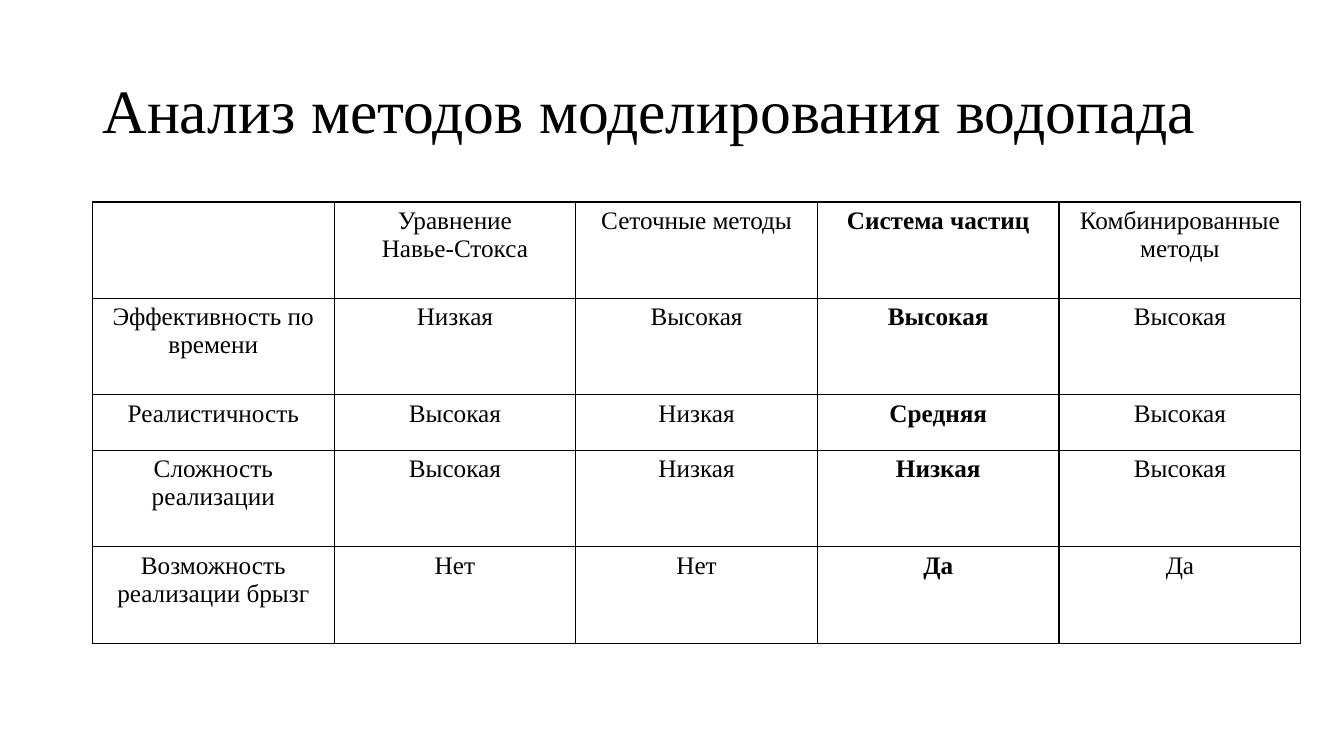
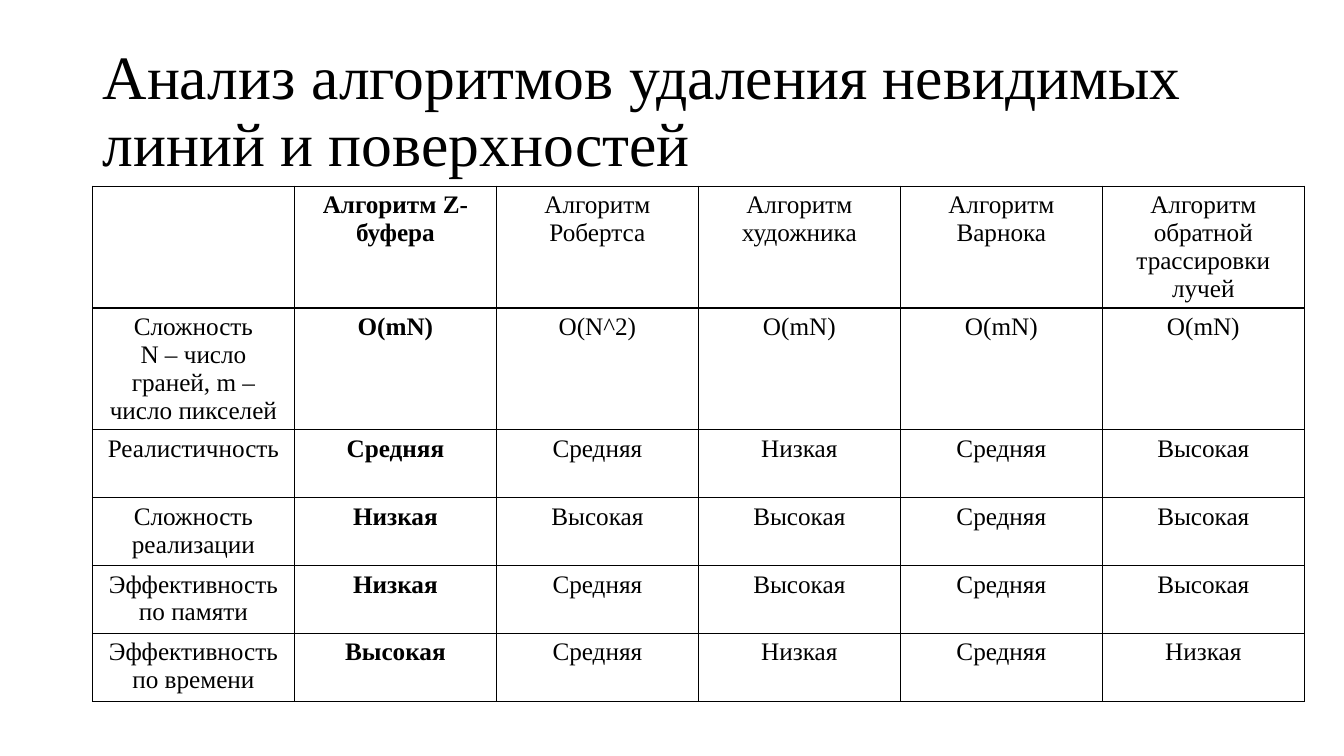
"""Build two slides that compare modelling methods in tables."""
from lxml import etree
from pptx import Presentation
from pptx.dml.color import RGBColor
from pptx.enum.text import MSO_ANCHOR, MSO_AUTO_SIZE, PP_ALIGN
from pptx.oxml.ns import qn
from pptx.util import Cm, Pt

BLACK = RGBColor(0x00, 0x00, 0x00)
WHITE = RGBColor(0xFF, 0xFF, 0xFF)
FONT = "Times New Roman"
LEFT, CENTER = PP_ALIGN.LEFT, PP_ALIGN.CENTER
MIDDLE = MSO_ANCHOR.MIDDLE
NO_FIT = MSO_AUTO_SIZE.NONE
TITLE_ONLY = 5
BORDER_TAGS = ("a:lnL", "a:lnR", "a:lnT", "a:lnB")

METHODS = [
    ["", "Уравнение\nНавье-Стокса", "Сеточные методы", "Система частиц", "Комбинированные методы"],
    ["Эффективность по времени", "Низкая", "Высокая", "Высокая", "Высокая"],
    ["Реалистичность", "Высокая", "Низкая", "Средняя", "Высокая"],
    ["Сложность реализации", "Высокая", "Низкая", "Низкая", "Высокая"],
    ["Возможность реализации брызг", "Нет", "Нет", "Да", "Да"],
]
ALGORITHMS = [
    ["", "Алгоритм Z-буфера", "Алгоритм Робертса", "Алгоритм художника", "Алгоритм Варнока",
     "Алгоритм обратной трассировки лучей"],
    ["Сложность\nN – число граней, m – число пикселей", "O(mN)", "O(N^2)", "O(mN)", "O(mN)", "O(mN)"],
    ["Реалистичность", "Средняя", "Средняя", "Низкая", "Средняя", "Высокая"],
    ["Сложность реализации", "Низкая", "Высокая", "Высокая", "Средняя", "Высокая"],
    ["Эффективность по памяти", "Низкая", "Средняя", "Высокая", "Средняя", "Высокая"],
    ["Эффективность по времени", "Высокая", "Средняя", "Низкая", "Средняя", "Низкая"],
]


def write(tf, text, size=18, bold=False, align=CENTER, spacing=1.0):
    """Fill a text frame, one paragraph per line of text."""
    for i, line in enumerate(text.split("\n")):
        p = tf.add_paragraph() if i else tf.paragraphs[0]
        p.alignment = align
        p.line_spacing = spacing
        p.font.size = Pt(size)
        if line:
            r = p.add_run()
            r.text = line
            r.font.name = FONT
            r.font.size = Pt(size)
            r.font.bold = bold
            r.font.color.rgb = BLACK


class Deck:
    """Hold the shared style and the current slide."""

    left = Cm(2.33)

    def __init__(self):
        """Start a widescreen presentation."""
        self.prs = Presentation()
        self.prs.slide_width = Cm(33.87)
        self.prs.slide_height = Cm(19.05)
        self.s = None

    def slide(self, title):
        """Add a slide with its title."""
        self.s = self.prs.slides.add_slide(self.prs.slide_layouts[TITLE_ONLY])
        sp = self.s.shapes.title
        sp.left, sp.top, sp.width, sp.height = self.left, Cm(1.01), Cm(29.21), Cm(3.68)
        tf = sp.text_frame
        tf.word_wrap = True
        tf.auto_size = NO_FIT
        tf.vertical_anchor = MIDDLE
        write(tf, title, size=44, align=LEFT, spacing=0.9)

    def table(self, rows, top, col_width, heights, bold_col):
        """Add a bordered table with one column in bold."""
        n = len(rows[0])
        frame = self.s.shapes.add_table(len(rows), n, self.left, Cm(top),
                                        Cm(col_width * n), Cm(sum(heights)))
        table = frame.table
        table.first_row = table.horz_banding = False
        for col in table.columns:
            col.width = Cm(col_width)
        for i, (row, height) in enumerate(zip(rows, heights)):
            table.rows[i].height = Cm(height)
            for j, text in enumerate(row):
                cell = table.cell(i, j)
                self.borders(cell)
                cell.fill.solid()
                cell.fill.fore_color.rgb = WHITE
                write(cell.text_frame, text, bold=j == bold_col)

    def borders(self, cell):
        """Draw a thin line on each side of a cell."""
        props = cell._tc.get_or_add_tcPr()
        for tag in BORDER_TAGS:
            ln = etree.SubElement(props, qn(tag), w=str(Pt(1)))
            fill = etree.SubElement(ln, qn("a:solidFill"))
            etree.SubElement(fill, qn("a:srgbClr"), val=str(BLACK))


def main():
    """Build and save the presentation."""
    deck = Deck()
    deck.slide("Анализ методов моделирования водопада")
    deck.table(METHODS, top=5.09, col_width=6.09,
               heights=[2.43, 2.43, 1.4, 2.43, 2.43], bold_col=3)
    deck.slide("Анализ алгоритмов удаления невидимых линий и поверхностей")
    deck.table(ALGORITHMS, top=4.69, col_width=5.09,
               heights=[3.07] * 2 + [1.71] * 4, bold_col=1)
    deck.prs.save("out.pptx")


if __name__ == "__main__":
    main()
